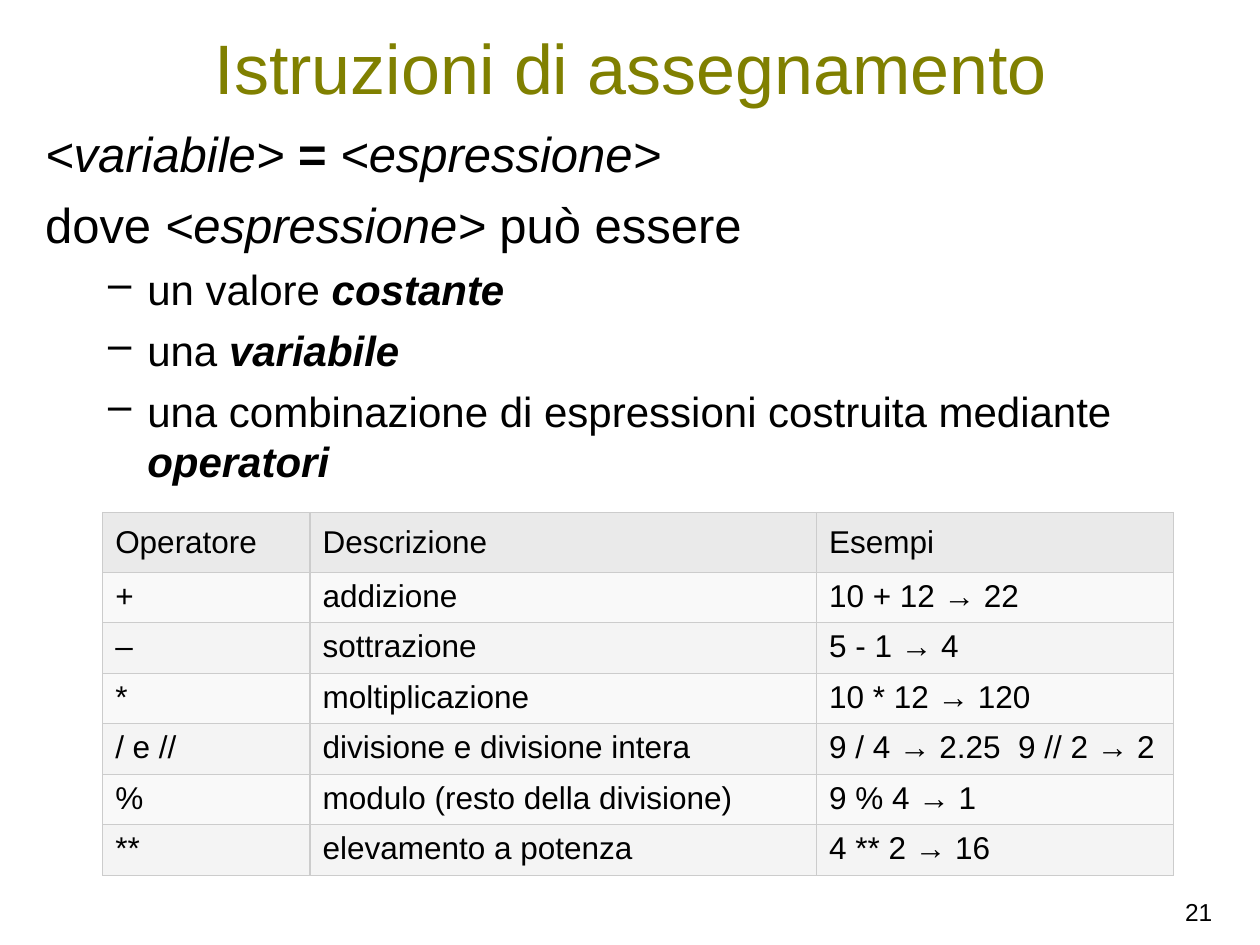
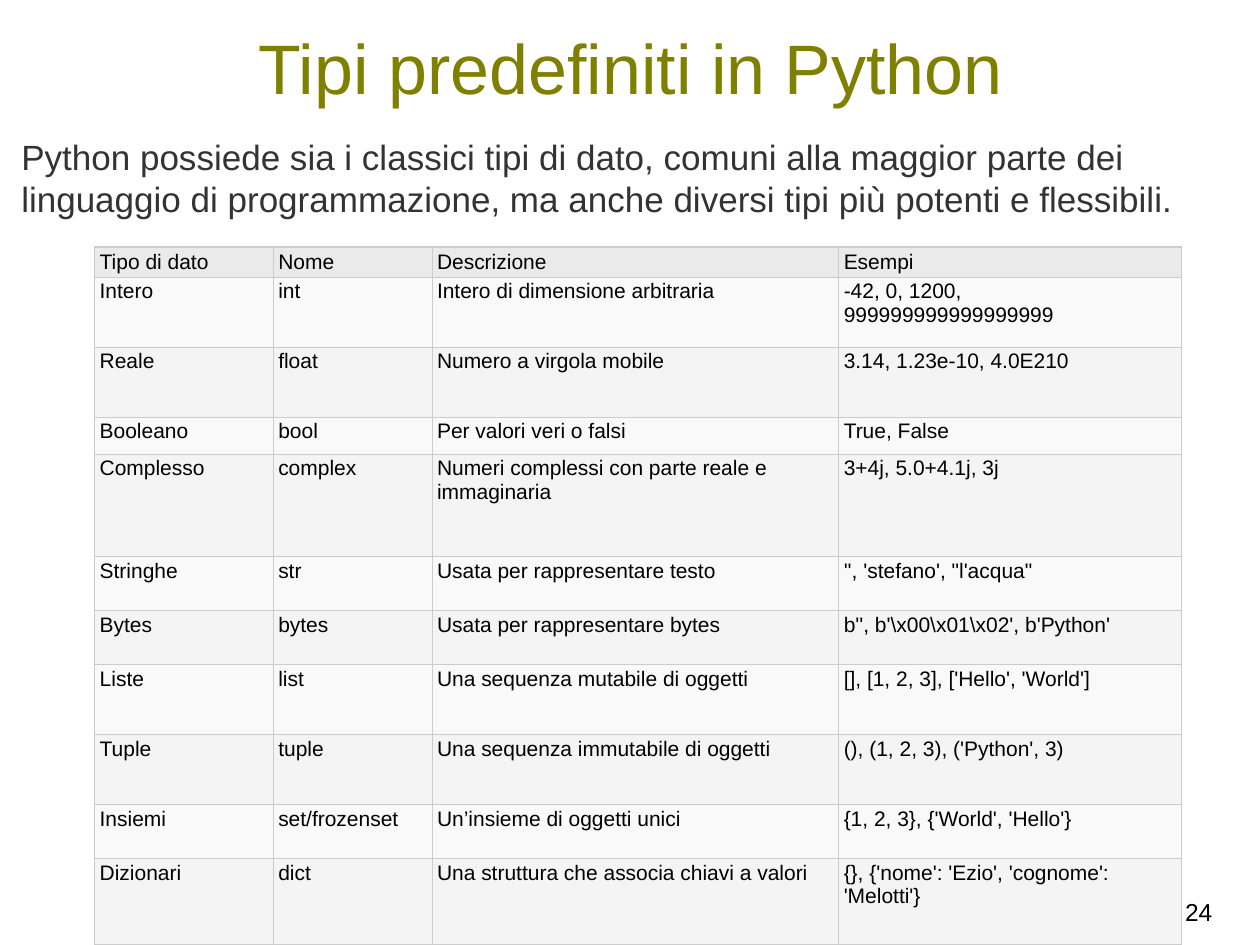
"""Build two slides on assignment statements and built-in types in Python."""
import dataclasses

import lxml.etree
import pptx
import pptx.dml.color
import pptx.enum.shapes
import pptx.enum.text
import pptx.oxml.ns
import pptx.util

Cm = pptx.util.Cm
Pt = pptx.util.Pt
ALIGN = pptx.enum.text.PP_ALIGN
MIDDLE = pptx.enum.text.MSO_ANCHOR.MIDDLE


@dataclasses.dataclass(frozen=True)
class Theme:
    font: str = "Arial"
    title: str = "808000"
    text: str = "000000"
    intro: str = "333333"
    background: str = "FFFFFF"
    header_fill: str = "EAEAEA"
    row_fills: tuple = ("F9F9F9", "F4F4F4")
    border: str = "CCCCCC"
    border_width: float = 0.75
    title_size: int = 40
    statement_size: int = 28
    item_size: int = 24
    intro_size: int = 20
    table_size: int = 18
    small_table_size: int = 12
    number_size: int = 14


def color(value):
    return pptx.dml.color.RGBColor.from_string(value)


class Deck:
    def __init__(self, theme):
        self.theme = theme
        self.presentation = pptx.Presentation()
        self.presentation.slide_width = Cm(25.4)
        self.presentation.slide_height = Cm(19.05)
        self.slide = None

    def style(self, paragraph, size, text_color=None):
        paragraph.font.name = self.theme.font
        paragraph.font.size = Pt(size)
        paragraph.font.color.rgb = color(text_color or self.theme.text)

    def add_slide(self, title, number):
        self.slide = self.presentation.slides.add_slide(self.presentation.slide_layouts[5])
        shape = self.slide.shapes.title
        shape.left, shape.top, shape.width, shape.height = Cm(0.18), Cm(0.28), Cm(25.07), Cm(2.39)
        frame = shape.text_frame
        frame.text = title
        frame.auto_size = pptx.enum.text.MSO_AUTO_SIZE.NONE
        frame.vertical_anchor = MIDDLE
        paragraph = frame.paragraphs[0]
        paragraph.alignment = ALIGN.CENTER
        paragraph.line_spacing = 0.85
        self.style(paragraph, self.theme.title_size, self.theme.title)
        self.add_number(number)

    def add_text_box(self, left, top, width, height):
        box = self.slide.shapes.add_textbox(Cm(left), Cm(top), Cm(width), Cm(height))
        box.text_frame.word_wrap = True
        return box.text_frame

    def add_number(self, number):
        paragraph = self.add_text_box(22.76, 17.96, 1.93, 0.99).paragraphs[0]
        paragraph.text = str(number)
        paragraph.alignment = ALIGN.RIGHT
        self.style(paragraph, self.theme.number_size)

    def add_outline(self, statements, items):
        frame = self.add_text_box(0.66, 2.36, 24.13, 10)
        lines = [(runs, False) for runs in statements] + [(runs, True) for runs in items]
        for index, (runs, is_item) in enumerate(lines):
            paragraph = frame.add_paragraph() if index else frame.paragraphs[0]
            paragraph.space_before = Pt((6 if is_item else 7) if index else 2)
            properties = paragraph._p.get_or_add_pPr()
            properties.set("marL", str(Cm(2.06 if is_item else 0.97)))
            properties.set("indent", str(Cm(-0.79 if is_item else -0.97)))
            if is_item:
                bullet = lxml.etree.SubElement(properties, pptx.oxml.ns.qn("a:buChar"))
                bullet.set("char", "–")
            self.style(paragraph, self.theme.item_size if is_item else self.theme.statement_size)
            for text, emphasis in runs:
                run = paragraph.add_run()
                run.text = text
                run.font.bold = "b" in emphasis
                run.font.italic = "i" in emphasis

    def add_intro(self, text):
        shape = self.slide.shapes.add_shape(
            pptx.enum.shapes.MSO_SHAPE.RECTANGLE, Cm(0.18), Cm(2.59), Cm(25.07), Cm(1.96))
        shape.shadow.inherit = False
        shape.fill.solid()
        shape.fill.fore_color.rgb = color(self.theme.background)
        shape.line.fill.background()
        frame = shape.text_frame
        frame.word_wrap = True
        frame.vertical_anchor = MIDDLE
        frame.text = text
        frame.paragraphs[0].alignment = ALIGN.LEFT
        self.style(frame.paragraphs[0], self.theme.intro_size, self.theme.intro)

    def add_borders(self, cell):
        properties = cell._tc.get_or_add_tcPr()
        for side in ("a:lnL", "a:lnR", "a:lnT", "a:lnB"):
            line = lxml.etree.SubElement(properties, pptx.oxml.ns.qn(side))
            line.set("w", str(Pt(self.theme.border_width)))
            fill = lxml.etree.SubElement(line, pptx.oxml.ns.qn("a:solidFill"))
            lxml.etree.SubElement(fill, pptx.oxml.ns.qn("a:srgbClr")).set("val", self.theme.border)

    def add_table(self, left, top, widths, heights, rows, size, margins=None):
        table = self.slide.shapes.add_table(
            len(rows), len(widths), Cm(left), Cm(top), Cm(sum(widths)), Cm(sum(heights))).table
        for column, width in zip(table.columns, widths):
            column.width = Cm(width)
        for row_index, (height, texts) in enumerate(zip(heights, rows)):
            table.rows[row_index].height = Cm(height)
            for column_index, text in enumerate(texts):
                cell = table.cell(row_index, column_index)
                cell.text = text
                self.style(cell.text_frame.paragraphs[0], size)
                cell.text_frame.paragraphs[0].font.bold = False
                if margins:
                    cell.margin_left = cell.margin_right = Cm(margins[0])
                    cell.margin_top = cell.margin_bottom = Cm(margins[1])
                self.add_borders(cell)
                cell.fill.solid()
                if row_index:
                    fill = self.theme.row_fills[(row_index - 1) % 2]
                else:
                    fill = self.theme.header_fill
                    cell.vertical_anchor = MIDDLE
                cell.fill.fore_color.rgb = color(fill)


def add_assignment_slide(deck):
    deck.add_slide("Istruzioni di assegnamento", 21)
    deck.add_outline(
        statements=[
            [("<variabile> ", "i"), ("= ", "b"), ("<espressione>", "i")],
            [("dove ", ""), ("<espressione>", "i"), (" può essere", "")],
        ],
        items=[
            [("un valore ", ""), ("costante", "bi")],
            [("una ", ""), ("variabile", "bi")],
            [("una combinazione di espressioni costruita mediante ", ""), ("operatori", "bi")],
        ])
    operators = [
        ("Operatore", "Descrizione", "Esempi"),
        ("+", "addizione", "10 + 12 → 22"),
        ("–", "sottrazione", "5 - 1 → 4"),
        ("*", "moltiplicazione", "10 * 12 → 120"),
        ("/ e //", "divisione e divisione intera", "9 / 4 → 2.25  9 // 2 → 2"),
        ("%", "modulo (resto della divisione)", "9 % 4 → 1"),
        ("**", "elevamento a potenza", "4 ** 2 → 16"),
    ]
    deck.add_table(2.07, 10.33, (4.18, 10.21, 7.2), [1.21] + [0.97] * 6,
                   operators, deck.theme.table_size)


def add_types_slide(deck):
    deck.add_slide("Tipi predefiniti in Python", 24)
    types = [
        ("Tipo di dato", "Nome", "Descrizione", "Esempi"),
        ("Intero", "int", "Intero di dimensione arbitraria", "-42, 0, 1200, 999999999999999999"),
        ("Reale", "float", "Numero a virgola mobile", "3.14, 1.23e-10, 4.0E210"),
        ("Booleano", "bool", "Per valori veri o falsi", "True, False"),
        ("Complesso", "complex", "Numeri complessi con parte reale e immaginaria",
         "3+4j, 5.0+4.1j, 3j"),
        ("Stringhe", "str", "Usata per rappresentare testo", "'', 'stefano', \"l'acqua\""),
        ("Bytes", "bytes", "Usata per rappresentare bytes", r"b'', b'\x00\x01\x02', b'Python'"),
        ("Liste", "list", "Una sequenza mutabile di oggetti", "[], [1, 2, 3], ['Hello', 'World']"),
        ("Tuple", "tuple", "Una sequenza immutabile di oggetti", "(), (1, 2, 3), ('Python', 3)"),
        ("Insiemi", "set/frozenset", "Un’insieme di oggetti unici", "{1, 2, 3}, {'World', 'Hello'}"),
        ("Dizionari", "dict", "Una struttura che associa chiavi a valori",
         "{}, {'nome': 'Ezio', 'cognome': 'Melotti'}"),
    ]
    heights = (0.59, 1.41, 1.41, 0.75, 2.06, 1.09, 1.09, 1.41, 1.41, 1.09, 1.73)
    deck.add_table(1.91, 4.98, (3.6, 3.2, 8.2, 6.9), heights, types,
                   deck.theme.small_table_size, margins=(0.1, 0.05))
    deck.add_intro(
        "Python possiede sia i classici tipi di dato, comuni alla maggior parte dei linguaggio "
        "di programmazione, ma anche diversi tipi più potenti e flessibili.")


def main():
    deck = Deck(Theme())
    add_assignment_slide(deck)
    add_types_slide(deck)
    deck.presentation.save("out.pptx")


if __name__ == "__main__":
    main()
